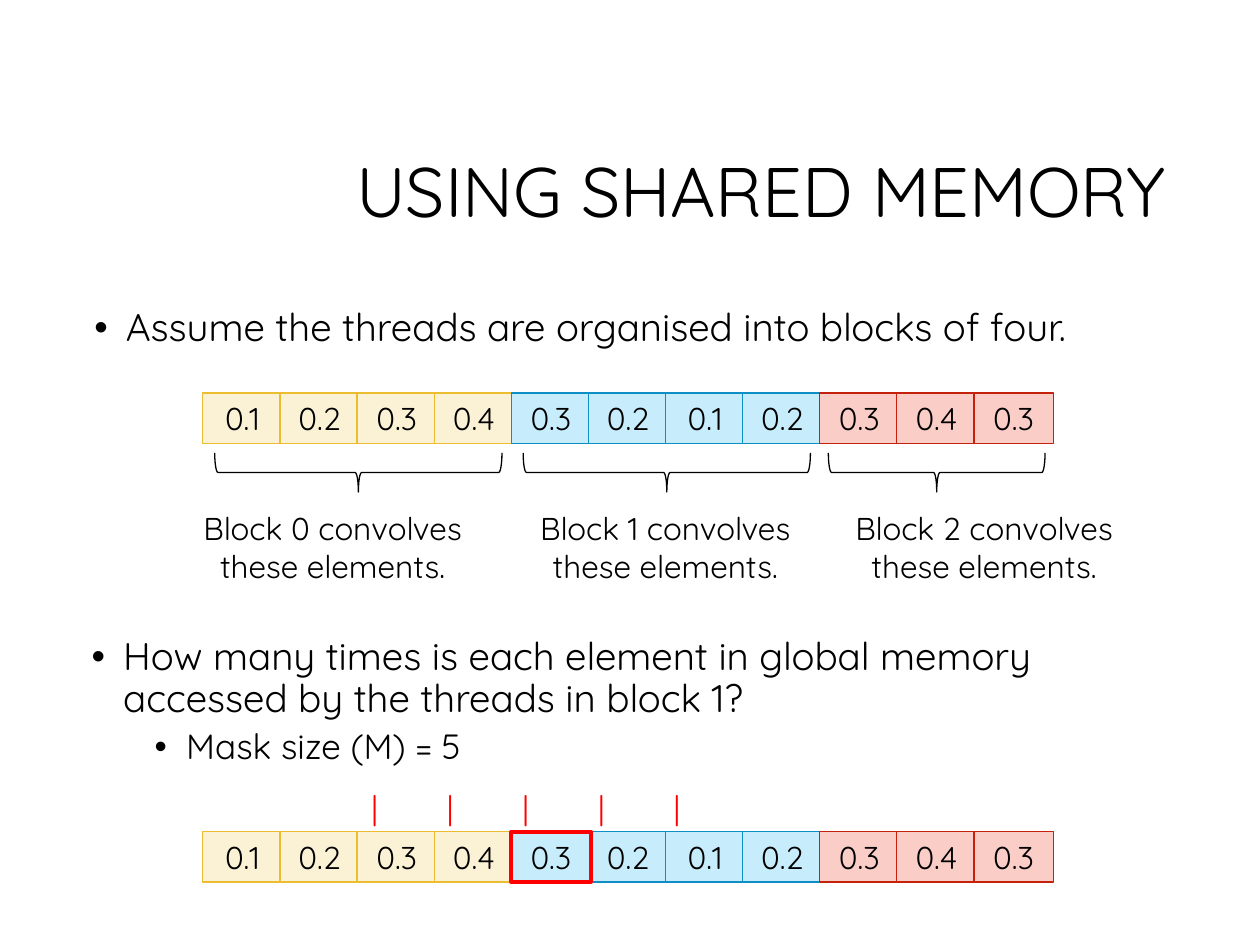
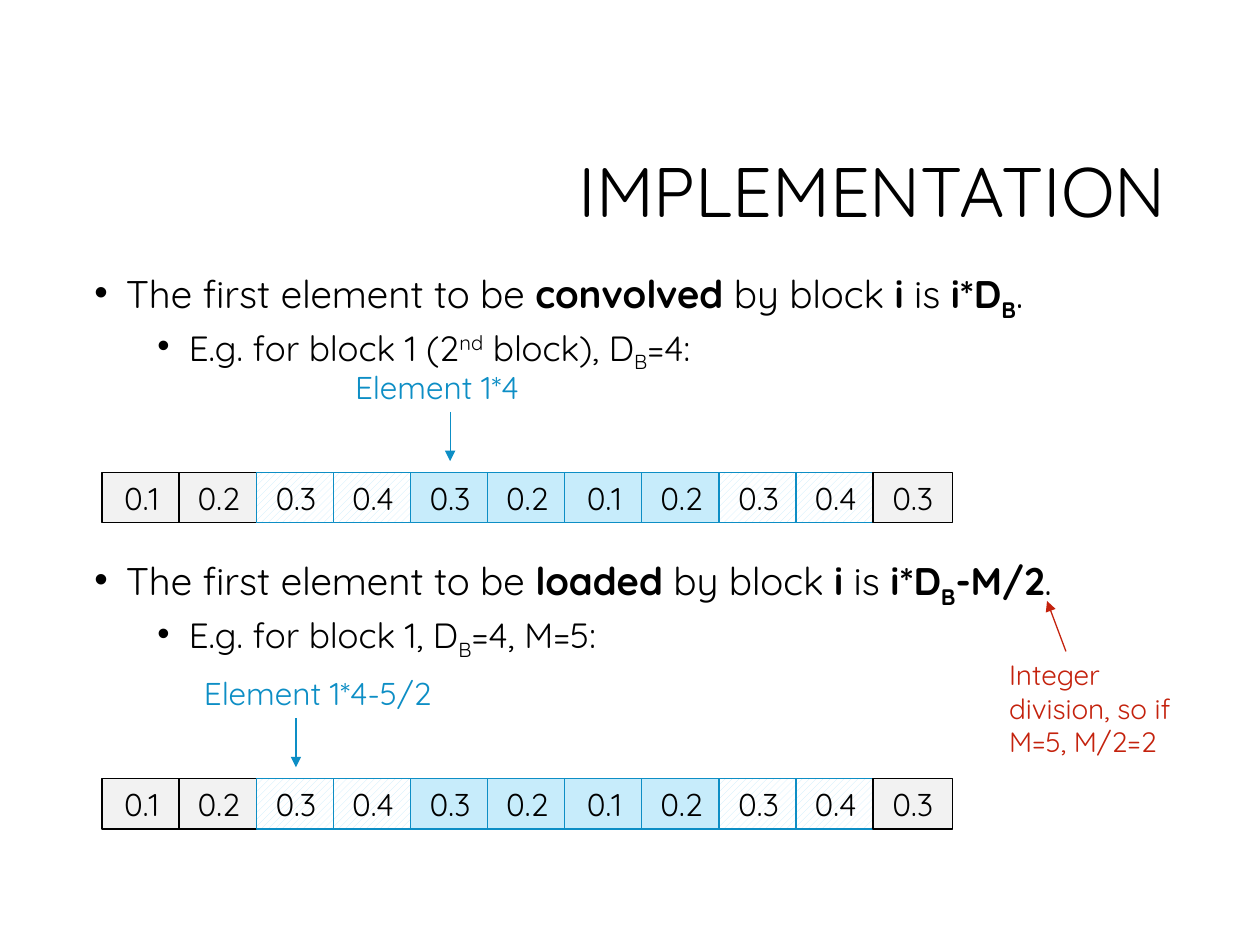
from dataclasses import dataclass
from typing import Any

from lxml import etree
from pptx import Presentation
from pptx.dml.color import RGBColor
from pptx.enum.dml import MSO_PATTERN
from pptx.enum.shapes import MSO_CONNECTOR, MSO_SHAPE
from pptx.enum.text import MSO_ANCHOR, MSO_AUTO_SIZE, PP_ALIGN
from pptx.oxml.ns import qn
from pptx.util import Inches, Pt

RECT, BRACE = MSO_SHAPE.RECTANGLE, MSO_SHAPE.RIGHT_BRACE
STRAIGHT = MSO_CONNECTOR.STRAIGHT
DIAGONAL = MSO_PATTERN.WIDE_UPWARD_DIAGONAL
TOP, MIDDLE = MSO_ANCHOR.TOP, MSO_ANCHOR.MIDDLE
GROW, FIXED = MSO_AUTO_SIZE.SHAPE_TO_FIT_TEXT, MSO_AUTO_SIZE.NONE
LEFT, CENTER, RIGHT = PP_ALIGN.LEFT, PP_ALIGN.CENTER, PP_ALIGN.RIGHT

COLORS = {
    "black": "000000", "white": "FFFFFF", "grey": "F2F2F2",
    "cream": "FBF2D6", "gold": "ECBD31",
    "sky": "C7ECFB", "blue": "0D8EC5",
    "pink": "FBCDC7", "brick": "C4220D", "red": "FF0000",
}
FONT = "Quicksand"
TICK_FONT = "Comic Neue"
VALUES = ["0.1", "0.2", "0.3", "0.4", "0.3", "0.2", "0.1", "0.2", "0.3", "0.4", "0.3"]
CELL_W, CELL_H = 0.63, 0.4
PITCH = 6.12 / 10
THIN, THICK = 0.75, 2.25
BULLET_SIZES = [22, 20]
BULLET_SPACES = [10, 5]


@dataclass(frozen=True)
class Box:
    left: float
    top: float
    width: float
    height: float

    def lengths(self) -> list[int]:
        return [Inches(v) for v in (self.left, self.top, self.width, self.height)]


@dataclass(frozen=True)
class Run:
    text: str
    bold: bool = False
    baseline: int = 0


@dataclass(frozen=True)
class Bullet:
    runs: list[Run]
    level: int = 0


@dataclass(frozen=True)
class CellStyle:
    fill: str
    line: str
    hatched: bool = False


@dataclass(frozen=True)
class Block:
    first: int
    count: int
    label_left: float


@dataclass(frozen=True)
class Pointer:
    text: str
    index: int
    label_left: float
    label_width: float


YELLOW = CellStyle("cream", "gold")
BLUE = CellStyle("sky", "blue")
RED = CellStyle("pink", "brick")
UNUSED = CellStyle("grey", "black")
HALO = CellStyle("sky", "blue", hatched=True)

BLOCK_STYLES = [YELLOW] * 4 + [BLUE] * 4 + [RED] * 3
LOAD_STYLES = [UNUSED] * 2 + [HALO] * 2 + [BLUE] * 4 + [HALO] * 2 + [UNUSED]
BLOCKS = [Block(0, 4, 1.38), Block(4, 4, 4.02), Block(8, 3, 6.55)]


def rgb(name: str) -> RGBColor:
    return RGBColor.from_string(COLORS[name])


def set_attrs(obj: Any, **values: Any) -> None:
    for name, value in values.items():
        setattr(obj, name, value)


def add_run(p: Any, run: Run, size: float, color: str = "black", font: str = FONT) -> None:
    r = p.add_run()
    r.text = run.text
    set_attrs(r.font, name=font, size=Pt(size), bold=run.bold)
    r.font.color.rgb = rgb(color)
    if run.baseline:
        r.font._element.set("baseline", str(run.baseline * 1000))


def add_text(shapes: Any, box: Box, text: str, size: float, color: str = "black",
             font: str = FONT, align: Any = LEFT, anchor: Any = TOP,
             auto_size: Any = GROW) -> Any:
    sp = shapes.add_textbox(*box.lengths())
    set_attrs(sp.text_frame, word_wrap=True, auto_size=auto_size, vertical_anchor=anchor)
    p = sp.text_frame.paragraphs[0]
    p.alignment = align
    add_run(p, Run(text), size, color, font)
    return sp


def add_title(s: Any, text: str) -> None:
    sp = add_text(s.shapes, Box(2.38, 0.84, 6.97, 1.41), text, 40,
                  align=RIGHT, anchor=MIDDLE, auto_size=FIXED)
    sp.text_frame.paragraphs[0].line_spacing = 0.9


def add_bullets(s: Any, box: Box, bullets: list[Bullet]) -> None:
    tf = s.shapes.add_textbox(*box.lengths()).text_frame
    set_attrs(tf, word_wrap=True, auto_size=FIXED)
    for i, bullet in enumerate(bullets):
        p = tf.add_paragraph() if i else tf.paragraphs[0]
        set_attrs(p, level=bullet.level, line_spacing=0.9,
                  space_before=Pt(BULLET_SPACES[bullet.level]))
        pPr = p._p.get_or_add_pPr()
        pPr.set("marL", str(Inches(0.25 + 0.5 * bullet.level)))
        pPr.set("indent", str(Inches(-0.25)))
        etree.SubElement(pPr, qn("a:buFont"), typeface="Arial")
        etree.SubElement(pPr, qn("a:buChar"), char="•")
        for run in bullet.runs:
            add_run(p, run, BULLET_SIZES[bullet.level])


def add_cell(shapes: Any, box: Box, value: str, style: CellStyle, marked: bool) -> None:
    sp = shapes.add_shape(RECT, *box.lengths())
    sp.shadow.inherit = False
    if style.hatched:
        sp.fill.patterned()
        sp.fill.pattern = DIAGONAL
        sp.fill.fore_color.rgb = rgb(style.fill)
        sp.fill.back_color.rgb = rgb("white")
    else:
        sp.fill.solid()
        sp.fill.fore_color.rgb = rgb(style.fill)
    sp.line.color.rgb = rgb("red" if marked else style.line)
    sp.line.width = Pt(THICK if marked else THIN)
    set_attrs(sp.text_frame, word_wrap=True, auto_size=GROW, vertical_anchor=TOP)
    p = sp.text_frame.paragraphs[0]
    p.alignment = CENTER
    add_run(p, Run(value), 18)


def add_row(shapes: Any, left: float, top: float, styles: list[CellStyle],
            marked: int | None = None) -> None:
    for i in sorted(range(len(VALUES)), key=lambda i: i == marked):
        box = Box(left + i * PITCH, top, CELL_W, CELL_H)
        add_cell(shapes, box, VALUES[i], styles[i], i == marked)


def add_arrow(shapes: Any, x1: float, y1: float, x2: float, y2: float, color: str) -> None:
    cxn = shapes.add_connector(STRAIGHT, *[Inches(v) for v in (x1, y1, x2, y2)])
    cxn.line.color.rgb = rgb(color)
    cxn.line.width = Pt(THIN)
    etree.SubElement(cxn.line._get_or_add_ln(), qn("a:tailEnd"), type="triangle")
    etree.SubElement(cxn._element.spPr, qn("a:effectLst"))


def add_block_brace(s: Any, row_left: float, number: int, block: Block) -> None:
    center = row_left + block.first * PITCH + (block.count * PITCH + 0.02) / 2
    depth, span = 0.31, 0.56 * block.count + 0.04
    box = Box(center - depth / 2, 3.75 - span / 2, depth, span)
    sp = s.shapes.add_shape(BRACE, *box.lengths())
    sp.rotation = 90
    sp.shadow.inherit = False
    sp.fill.background()
    sp.line.color.rgb = rgb("black")
    sp.line.width = Pt(THIN)
    add_text(s.shapes, Box(block.label_left, 3.99, 2.52, 0.71),
             f"Block {number} convolves these elements.", 18, align=CENTER)


def add_pointed_row(s: Any, left: float, top: float, pointer: Pointer) -> None:
    shapes = s.shapes.add_group_shape().shapes
    add_row(shapes, left, top, LOAD_STYLES)
    x = left + pointer.index * PITCH + CELL_W / 2
    add_arrow(shapes, x, top - 0.48, x, top - 0.09, "blue")
    add_text(shapes, Box(pointer.label_left, top - 0.88, pointer.label_width, 0.4),
             pointer.text, 18, "blue")


def build_shared_memory(s: Any) -> None:
    add_title(s, "USING SHARED MEMORY")
    add_bullets(s, Box(0.65, 2.4, 8.7, 1.59), [
        Bullet([Run("Assume the threads are organised into blocks of four.")]),
    ])
    row_left = 1.61
    add_row(s.shapes, row_left, 3.12, BLOCK_STYLES)
    for number, block in enumerate(BLOCKS):
        add_block_brace(s, row_left, number, block)
    add_bullets(s, Box(0.63, 5.01, 8.7, 1.59), [
        Bullet([Run("How many times is each element in global memory "
                    "accessed by the threads in block 1?")]),
        Bullet([Run("Mask size (M) = 5")], 1),
    ])
    add_row(s.shapes.add_group_shape().shapes, row_left, 6.6, BLOCK_STYLES, marked=4)
    ticks = s.shapes.add_group_shape().shapes
    for i in range(5):
        add_text(ticks, Box(2.85 + 0.6 * i, 6.22, 0.61, 0.4), "|", 18, "red", TICK_FONT)


def first_element_runs(verb: str) -> list[Run]:
    return [
        Run("The first element to be "), Run(verb, True), Run(" by block "),
        Run("i", True), Run(" is "), Run("i*D", True), Run("B", True, -25),
    ]


def build_implementation(s: Any) -> None:
    add_title(s, "IMPLEMENTATION")
    row_left = 0.81
    add_bullets(s, Box(0.65, 2.1, 8.7, 1.26), [
        Bullet(first_element_runs("convolved") + [Run(".")]),
        Bullet([Run("E.g. for block 1 (2"), Run("nd", baseline=30), Run(" block), D"),
                Run("B", baseline=-25), Run("=4:")], 1),
    ])
    add_pointed_row(s, row_left, 3.75, Pointer("Element 1*4", 4, 2.72, 1.97))
    add_bullets(s, Box(0.65, 4.38, 8.7, 1.97), [
        Bullet(first_element_runs("loaded") + [Run("-M/2", True), Run(".")]),
        Bullet([Run("E.g. for block 1, D"), Run("B", baseline=-25), Run("=4, M=5:")], 1),
    ])
    add_arrow(s.shapes, 8.46, 5.17, 8.31, 4.77, "brick")
    add_text(s.shapes, Box(7.91, 5.17, 1.65, 0.91),
             "Integer division, so if M=5, M/2=2", 16, "brick")
    add_pointed_row(s, row_left, 6.18, Pointer("Element 1*4-5/2", 2, 1.52, 2.35))


def main() -> None:
    prs = Presentation()
    set_attrs(prs, slide_width=Inches(10), slide_height=Inches(7.5))
    for build in (build_shared_memory, build_implementation):
        build(prs.slides.add_slide(prs.slide_layouts[6]))
    prs.save("out.pptx")


if __name__ == "__main__":
    main()
